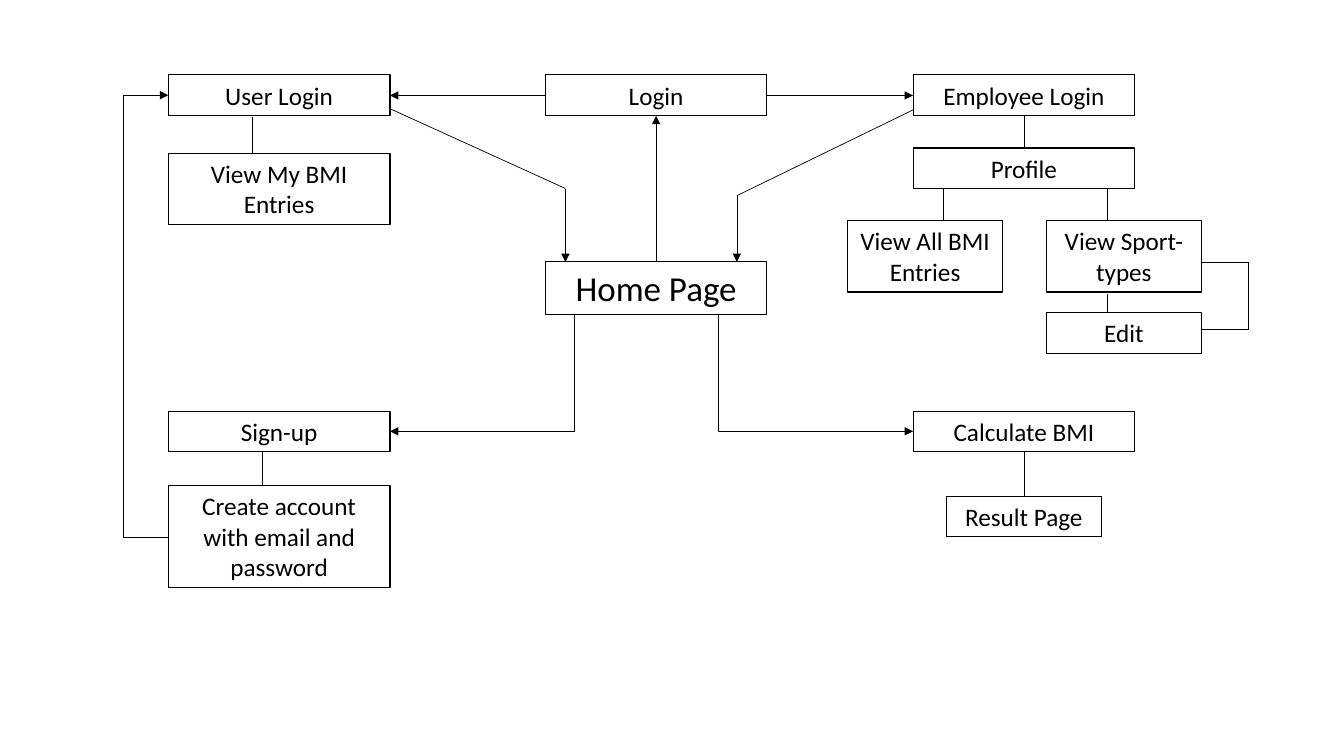
from dataclasses import dataclass
from itertools import pairwise

from lxml import etree
from pptx import Presentation
from pptx import util as u
from pptx.dml.color import RGBColor
from pptx.enum import shapes, text
from pptx.oxml.ns import qn

TOP, LEFT, BOTTOM, RIGHT = range(4)  # connection sites of a rectangle


@dataclass(frozen=True)
class Theme:
    ink: RGBColor = RGBColor(0, 0, 0)
    font: str = "Calibri"
    page_size: float = 18
    home_size: float = 25
    border: float = 0.75
    link: float = 0.5


class SiteMap:
    """Draws boxes and links on one slide; all lengths are in centimetres."""

    def __init__(self, slide, theme):
        self.slide = slide
        self.theme = theme

    def box(self, label, left, top, width, height, size=None):
        box = self.slide.shapes.add_textbox(*map(u.Cm, (left, top, width, height)))
        box.line.color.rgb = self.theme.ink
        box.line.width = u.Pt(self.theme.border)
        frame = box.text_frame
        frame.word_wrap = True
        frame.auto_size = text.MSO_AUTO_SIZE.SHAPE_TO_FIT_TEXT
        frame.text = label
        paragraph = frame.paragraphs[0]
        paragraph.alignment = text.PP_ALIGN.CENTER
        font = paragraph.runs[0].font
        font.name = self.theme.font
        font.size = u.Pt(size or self.theme.page_size)
        font.color.rgb = self.theme.ink
        return box

    def line(self, start, end, arrow=False, kind=shapes.MSO_CONNECTOR.STRAIGHT):
        connector = self.slide.shapes.add_connector(kind, *map(u.Cm, (*start, *end)))
        connector.line.color.rgb = self.theme.ink
        connector.line.width = u.Pt(self.theme.link)
        if arrow:
            outline = connector.line._get_or_add_ln()
            etree.SubElement(outline, qn("a:tailEnd"), type="triangle")
        etree.SubElement(connector._element.spPr, qn("a:effectLst"))
        return connector

    def join(self, source, source_site, target, target_site, arrow=False):
        connector = self.line((0, 0), (1, 1), arrow)
        connector.begin_connect(source, source_site)
        connector.end_connect(target, target_site)

    def route(self, *points, arrow=False):
        """Straight lines through the points, with any arrowhead on the last."""
        for start, end in pairwise(points):
            self.line(start, end, arrow and end == points[-1])

    def elbow(self, start, end):
        """An arrow that runs down first, then sideways."""
        connector = self.line(start, end, True, shapes.MSO_CONNECTOR.ELBOW)
        geometry = connector._element.spPr.find(qn("a:prstGeom"))
        guides = geometry.find(qn("a:avLst"))
        if guides is None:
            guides = etree.SubElement(geometry, qn("a:avLst"))
        etree.SubElement(guides, qn("a:gd"), name="adj1", fmla="val 0")


def draw_pages(site):
    user_x, home_x, staff_x = 4.24, 13.74, 23.01
    entries_x, sports_x, result_x = 21.36, 26.37, 23.85
    wide, narrow = 5.59, 3.91
    one_line, two_lines, three_lines = 1.03, 1.8, 2.57
    login_y, action_y, details_y = 1.89, 10.36, 5.56

    home = site.box("Home Page", home_x, 6.6, wide, 1.33, site.theme.home_size)
    user = site.box("User Login", user_x, login_y, wide, one_line)
    staff = site.box("Employee Login", staff_x, login_y, wide, one_line)
    site.box("Sign-up", user_x, action_y, wide, one_line)
    calculate = site.box("Calculate BMI", staff_x, action_y, wide, one_line)
    login = site.box("Login", home_x, login_y, wide, one_line)
    profile = site.box("Profile", staff_x, 3.73, wide, one_line)
    site.box("View All BMI Entries", entries_x, details_y, narrow, two_lines)
    site.box("View Sport-types", sports_x, details_y, narrow, two_lines)
    site.box("Edit", sports_x, 7.87, narrow, one_line)
    site.box("View My BMI Entries", user_x, 3.86, wide, two_lines)
    site.box("Create account with email and password",
             user_x, 12.24, wide, three_lines)
    result = site.box("Result Page", result_x, 12.5, narrow, one_line)

    site.join(home, TOP, login, BOTTOM, arrow=True)
    site.join(login, LEFT, user, RIGHT, arrow=True)
    site.join(login, RIGHT, staff, LEFT, arrow=True)
    site.join(profile, TOP, staff, BOTTOM)
    site.join(result, TOP, calculate, BOTTOM)


def draw_routes(site):
    # Home Page to Sign-up and Calculate BMI
    site.elbow((14.48, 7.92), (9.83, 10.87))
    site.elbow((18.11, 7.92), (23.01, 10.87))

    # Both logins back to Home Page
    site.route((9.83, 2.74), (14.25, 4.75), (14.25, 6.6), arrow=True)
    site.route((23.01, 2.77), (18.57, 4.93), (18.57, 6.6), arrow=True)

    # Edit back to View Sport-types, and new account to User Login
    site.route((30.28, 6.6), (31.47, 6.6), (31.47, 8.31), (30.28, 8.31))
    site.route((4.24, 13.54), (3.1, 13.54), (3.1, 2.4), (4.24, 2.4), arrow=True)

    # Stems from a page up to its parent: x, lower y, upper y
    for x, lower, upper in (
        (23.77, 5.56, 4.75),
        (27.91, 5.56, 4.75),
        (27.91, 7.87, 7.42),
        (6.35, 3.86, 2.95),
        (6.6, 12.24, 11.38),
    ):
        site.line((x, lower), (x, upper))


def main():
    presentation = Presentation()
    presentation.slide_width = u.Cm(33.87)
    presentation.slide_height = u.Cm(19.05)
    slide = presentation.slides.add_slide(presentation.slide_layouts[6])
    site = SiteMap(slide, Theme())
    draw_pages(site)
    draw_routes(site)
    presentation.save("out.pptx")


if __name__ == "__main__":
    main()
